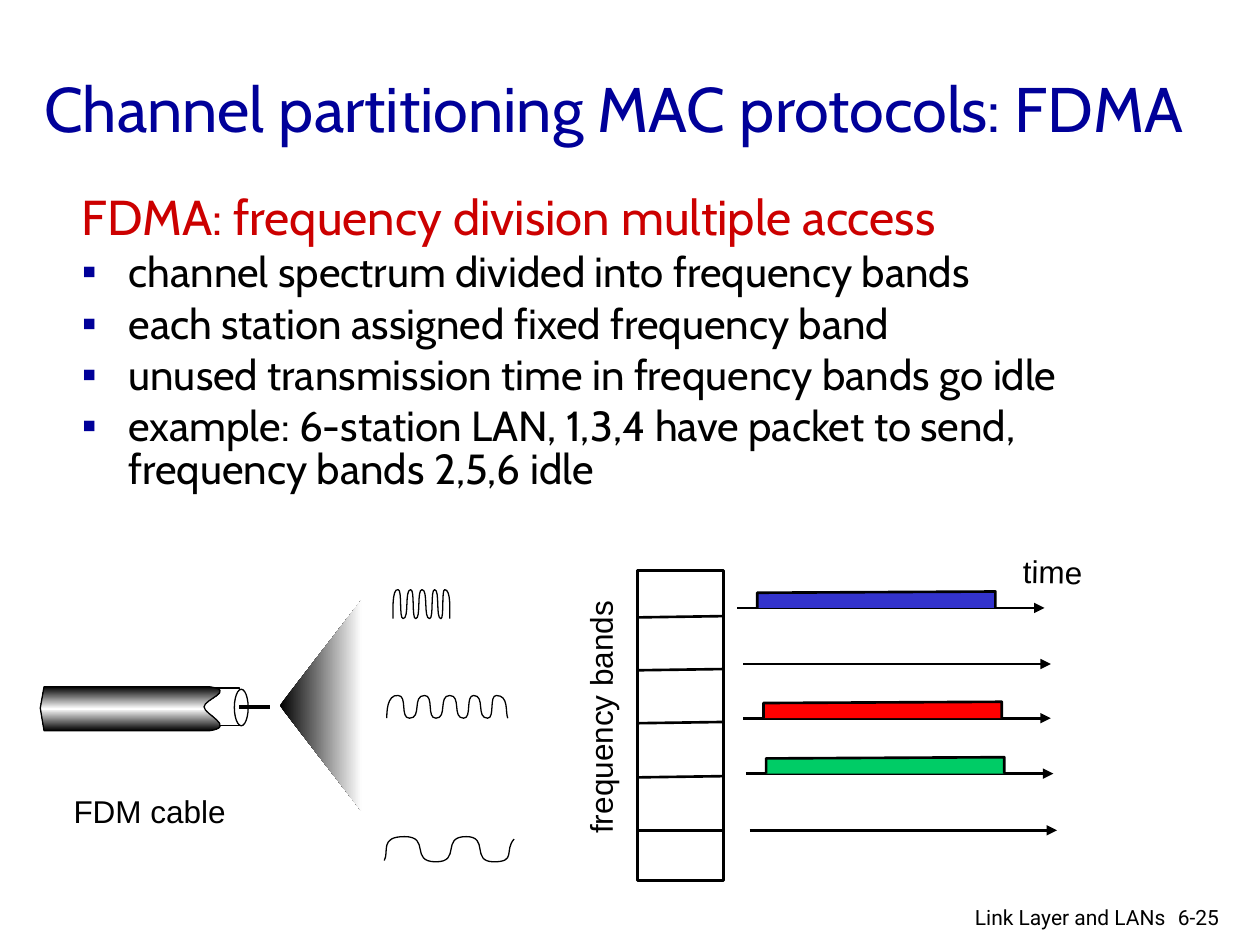
from dataclasses import dataclass

from lxml.etree import SubElement
from pptx import Presentation
from pptx.dml.color import RGBColor
from pptx.enum.shapes import MSO_CONNECTOR, MSO_SHAPE
from pptx.enum.text import MSO_ANCHOR, MSO_AUTO_SIZE, PP_ALIGN
from pptx.oxml.ns import qn
from pptx.util import Inches, Pt


@dataclass(frozen=True)
class Theme:
    navy: str = "000099"
    crimson: str = "CC0000"
    ink: str = "000000"
    paper: str = "FFFFFF"
    head: str = "Cabin"
    label: str = "Arial"
    foot: str = "Roboto"
    title_size: int = 36
    lead_size: int = 28
    bullet_size: int = 24
    label_size: int = 18
    foot_size: int = 12
    thin: float = 0.75
    medium: float = 1.5
    thick: float = 2.25


THEME = Theme()

# Content; all lengths are in grid columns and rows, 100 x 75 to the slide
TITLE = "Channel partitioning MAC protocols: FDMA"
LEAD = "FDMA: frequency division multiple access"
BULLETS = [
    "channel spectrum divided into frequency bands",
    "each station assigned fixed frequency band",
    "unused transmission time in frequency bands go idle",
    "example: 6-station LAN, 1,3,4 have packet to send, frequency bands 2,5,6 idle",
]
BAND_EDGES = [(49, 48.9), (53.2, 53.1), (57.4, 57.3), (61.7, 61.6), (65.9, 65.9)]
TIME_AXES = [  # column, row, colour of the busy band
    (58.5, 48.25, "3333CC"), (59, 52.7, None), (59, 57, "FF0000"),
    (59.2, 61.4, "00CC66"), (59.5, 65.9, None),
]
LABELS = [  # text, place, rotation
    ("frequency bands", (37.4, 54.9, 20.5, 4), 270),
    ("time", (80.2, 43.35, 6.7, 4), 1.1),
    ("FDM cable", (4.85, 62.35, 14.1, 4), 0),
]
FOOTERS = [  # text, place, alignment
    ("6-25", (92.5, 71.3, 6, 3), PP_ALIGN.LEFT),
    ("Link Layer and LANs", (69.7, 71.3, 23.8, 2.6), PP_ALIGN.RIGHT),
]
WAVES = [  # start, first curve, columns of later turns, last curve
    ((30.7, 57), (30.7, 56.6, 30.7, 55.1, 31.6, 55.2),
     (32.5, 33.7, 34.6, 35.7, 36.8, 37.6, 38.7, 39.4), (40.4, 55.2, 40.1, 56.5, 40.3, 57)),
    ((31.2, 49.1), (31.2, 48.6, 31.1, 46.7, 31.6, 46.8),
     (32, 32.6, 33, 33.5, 34.1, 34.5, 35, 35.3), (35.8, 46.8, 35.7, 48.4, 35.7, 49.1)),
    ((30.5, 68.3), (30.9, 67.6, 30.1, 66.4, 32.1, 66.4),
     (34.6, 37, 39.2), (41, 68.4, 40, 67.5, 40.8, 66.6)),
]
JACKET = [(3.5, 54.5), (3.2, 56.2), (3.5, 58), (16.6, 58),
          (18.8, 57.7, 16.2, 56.7, 16.2, 56.1),
          (16.2, 55.5, 18.8, 54.8, 16.6, 54.5), (3.5, 54.5)]

prs = Presentation()
prs.slide_width, prs.slide_height = Inches(10), Inches(7.5)
UNIT = prs.slide_width / 100
slide = prs.slides.add_slide(prs.slide_layouts[1])
shapes = slide.shapes


def grid(*lengths):
    return [round(length * UNIT) for length in lengths]


def rgb(colour):
    return RGBColor.from_string(colour)


def write(paragraph, text, *, size, font, colour=THEME.ink, align=PP_ALIGN.LEFT):
    paragraph.alignment = align
    run = paragraph.add_run()
    run.text = text
    run.font.size, run.font.name = Pt(size), font
    run.font.color.rgb = rgb(colour)


def textbox(text, place, rotation=0, wrap=False, **text_format):
    box = shapes.add_textbox(*grid(*place))
    box.rotation = rotation
    box.text_frame.word_wrap = wrap
    box.text_frame.auto_size = MSO_AUTO_SIZE.NONE if wrap else MSO_AUTO_SIZE.SHAPE_TO_FIT_TEXT
    write(box.text_frame.paragraphs[0], text, **text_format)


def paint(shape, fill=None, width=None):
    shape.shadow.inherit = False
    if fill:
        shape.fill.solid()
        shape.fill.fore_color.rgb = rgb(fill)
    else:
        shape.fill.background()
    if width:
        shape.line.color.rgb, shape.line.width = rgb(THEME.ink), Pt(width)
    else:
        shape.line.fill.background()
    return shape


def blend(shape, colours, angle):
    shape.fill.gradient()
    shape.fill.gradient_angle = angle
    stops = shape._element.spPr.find(".//" + qn("a:gsLst"))
    for stop in list(stops):
        stops.remove(stop)
    for i, colour in enumerate(colours):
        stop = SubElement(stops, qn("a:gs"), pos=str(100000 * i // (len(colours) - 1)))
        SubElement(stop, qn("a:srgbClr"), val=colour)


def preset(kind, place, width):
    return paint(shapes.add_shape(kind, *grid(*place)), THEME.paper, width)


def line(x1, y1, x2, y2, width=THEME.medium, arrow=False):
    connector = shapes.add_connector(MSO_CONNECTOR.STRAIGHT, *grid(x1, y1, x2, y2))
    connector.line.color.rgb, connector.line.width = rgb(THEME.ink), Pt(width)
    if arrow:
        SubElement(connector.line._get_or_add_ln(), qn("a:tailEnd"), type="triangle")
    SubElement(connector._element.spPr, qn("a:effectLst"))


def outline(steps, closed=False):
    """Draw through points; a step of six numbers is a cubic curve."""
    points = [step[i:i + 2] for step in steps for i in range(0, len(step), 2)]
    builder = shapes.build_freeform(*grid(*points[0]))
    builder.add_line_segments([grid(*point) for point in points[1:]], close=closed)
    shape = builder.convert_to_shape()
    segments = iter(shape._element.spPr.findall(".//" + qn("a:lnTo")))
    for step in steps[1:]:
        segment = next(segments)
        if len(step) == 6:
            segment.tag = qn("a:cubicBezTo")
            for _ in range(2):
                merged = next(segments)
                segment.append(merged[0])
                merged.getparent().remove(merged)
    return shape


def wave(start, first, columns, last):
    steps = [start, first]
    low, high = max(start[1], last[1]), first[5]
    x1, y1 = first[4:]
    for x2 in columns:
        y2 = low if y1 == high else high
        reach = 0.85 * (x2 - x1)
        steps.append((x1 + reach, y1, x2 - reach, y2, x2, y2))
        x1, y1 = x2, y2
    paint(outline([*steps, last]), width=THEME.thin)


# Title
title = shapes.title
title.left, title.top, title.width, title.height = grid(2.5, 2.3, 94.4, 12.5)
title.text_frame.vertical_anchor = MSO_ANCHOR.MIDDLE
title.text_frame.auto_size = MSO_AUTO_SIZE.NONE
write(title.text_frame.paragraphs[0], TITLE, size=THEME.title_size,
      font=THEME.head, colour=THEME.navy)

# Lead and bullets
body = slide.placeholders[1]
body.left, body.top, body.width, body.height = grid(5.5, 15, 89.9, 50.8)
body.text_frame.auto_size = MSO_AUTO_SIZE.NONE
indent, = grid(3.7)
for i, text in enumerate([LEAD, *BULLETS]):
    paragraph = body.text_frame.add_paragraph() if i else body.text_frame.paragraphs[0]
    props = paragraph._p.get_or_add_pPr()
    props.set("marL", str(indent))
    props.set("indent", str(-indent))
    if i:
        SubElement(SubElement(props, qn("a:buClr")), qn("a:srgbClr"), val=THEME.navy)
        SubElement(props, qn("a:buFont"), typeface=THEME.label)
        SubElement(props, qn("a:buChar"), char="▪")
    else:
        SubElement(props, qn("a:buNone"))
    size = THEME.bullet_size if i else THEME.lead_size
    paragraph.line_spacing = 0.85
    paragraph.space_before = Pt(0.2 * size if i else 0)
    write(paragraph, text, size=size, font=THEME.head,
          colour=THEME.ink if i else THEME.crimson)

# Stack of frequency bands
preset(MSO_SHAPE.RECTANGLE, (50.6, 45.3, 6.85, 24.6), THEME.medium)
for left_row, right_row in BAND_EDGES:
    line(50.6, left_row, 57.4, right_row)

# Time axes with the busy bands
for column, row, colour in TIME_AXES:
    line(column, row, column + 24.4, row, arrow=True)
    if colour:
        left, right = column + 1.6, column + 20.5
        paint(outline([(left, row), (left, row - 1.2), (right, row - 1.3), (right, row)]),
              colour, THEME.medium)

# Cable and its spreading beam
beam = paint(outline([(28.7, 47.6), (22.2, 56), (28.7, 64.4)], closed=True))
blend(beam, [THEME.ink, THEME.paper], 0)
preset(MSO_SHAPE.RECTANGLE, (16.1, 54.6, 2.9, 3), THEME.thin)
jacket = paint(outline(JACKET, closed=True), width=THEME.thin)
blend(jacket, [THEME.ink, THEME.paper, THEME.ink], 90)
preset(MSO_SHAPE.OVAL, (18.6, 54.7, 1.1, 2.9), THEME.thin)
line(19, 56.1, 21.4, 56.1, THEME.thick)

for parts in WAVES:
    wave(*parts)

# Labels and footer
for text, place, rotation in LABELS:
    textbox(text, place, rotation, size=THEME.label_size, font=THEME.label)
for text, place, align in FOOTERS:
    textbox(text, place, wrap=True, size=THEME.foot_size, font=THEME.foot, align=align)

prs.save("out.pptx")
